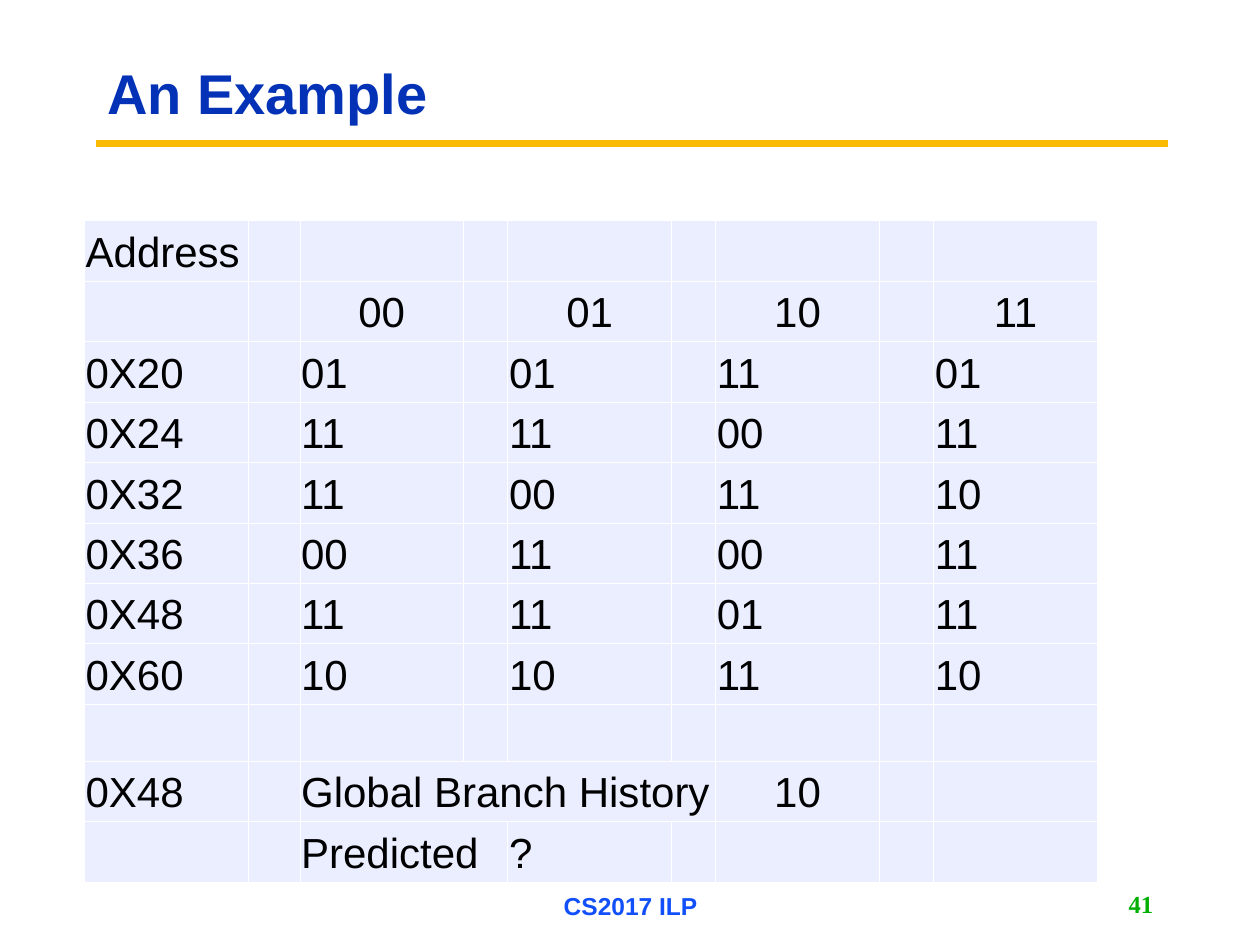
from lxml import etree
from pptx import Presentation
from pptx.dml.color import RGBColor
from pptx.enum.shapes import MSO_CONNECTOR
from pptx.enum.text import MSO_ANCHOR, MSO_AUTO_SIZE, PP_ALIGN
from pptx.oxml.ns import qn
from pptx.util import Inches, Pt

LEFT, CENTER, RIGHT = PP_ALIGN.LEFT, PP_ALIGN.CENTER, PP_ALIGN.RIGHT
MIDDLE, BOTTOM = MSO_ANCHOR.MIDDLE, MSO_ANCHOR.BOTTOM
NO_FIT = MSO_AUTO_SIZE.NONE
STRAIGHT = MSO_CONNECTOR.STRAIGHT
TITLE_ONLY = 5

VALUE_COLUMNS = (2, 4, 6, 8)
HISTORIES = ("00", "01", "10", "11")
PREDICTORS = {
    "0X20": ("01", "01", "11", "01"),
    "0X24": ("11", "11", "00", "11"),
    "0X32": ("11", "00", "11", "10"),
    "0X36": ("00", "11", "00", "11"),
    "0X48": ("11", "11", "01", "11"),
    "0X60": ("10", "10", "11", "10"),
}
COLUMN_WIDTHS = (1.3, 0.41, 1.3, 0.35, 1.3, 0.35, 1.3, 0.43, 1.3)
ROW_HEIGHTS = (0.47,) * 8 + (0.45,) + (0.47,) * 2


def rgb(value):
    return RGBColor.from_string(value)


class SlideBuilder:
    font = "Arial"
    title_color = "0332B7"
    rule_color = "FBBA03"
    cell_fill = "EAEEFF"
    border_color = "FFFFFF"
    border_width = Pt(0.45)

    def __init__(self, prs):
        self.s = prs.slides.add_slide(prs.slide_layouts[TITLE_ONLY])

    def add_text(self, p, text, size, color, bold=False, align=LEFT, font=None):
        p.alignment = align
        r = p.add_run()
        r.text = text
        r.font.name = font or self.font
        r.font.size = Pt(size)
        r.font.bold = bold
        r.font.color.rgb = rgb(color)

    def title(self, text, left, top, width, height):
        sp = self.s.shapes.title
        sp.left, sp.top = Inches(left), Inches(top)
        sp.width, sp.height = Inches(width), Inches(height)
        tf = sp.text_frame
        tf.vertical_anchor = MIDDLE
        tf.auto_size = NO_FIT
        p = tf.paragraphs[0]
        p.line_spacing = 0.9
        self.add_text(p, text, 32, self.title_color, bold=True)

    def rule(self, x1, x2, y):
        line = self.s.shapes.add_connector(
            STRAIGHT, Inches(x1), Inches(y), Inches(x2), Inches(y))
        line.line.color.rgb = rgb(self.rule_color)
        line.line.width = Pt(3.75)
        etree.SubElement(line._element.spPr, qn("a:effectLst"))

    def footer(self, text, left, top, width, height, color, align, font=None):
        sp = self.s.shapes.add_textbox(
            Inches(left), Inches(top), Inches(width), Inches(height))
        tf = sp.text_frame
        tf.word_wrap = False
        tf.vertical_anchor = MIDDLE
        self.add_text(tf.paragraphs[0], text, 14, color, True, align, font)

    def style_cell(self, cell):
        cell.fill.solid()
        cell.fill.fore_color.rgb = rgb(self.cell_fill)
        cell.vertical_anchor = BOTTOM
        cell.margin_left = cell.margin_right = Inches(0.01)
        cell.margin_top = cell.margin_bottom = Inches(0.04)
        tcPr = cell._tc.get_or_add_tcPr()
        for i, side in enumerate(("lnL", "lnR", "lnT", "lnB")):
            ln = etree.Element(qn(f"a:{side}"), w=str(int(self.border_width)))
            fill = etree.SubElement(ln, qn("a:solidFill"))
            etree.SubElement(fill, qn("a:srgbClr"), val=self.border_color)
            tcPr.insert(i, ln)

    def table(self, left, top, widths, heights):
        table = self.s.shapes.add_table(
            len(heights), len(widths), Inches(left), Inches(top),
            Inches(sum(widths)), Inches(sum(heights))).table
        table.first_row = table.horz_banding = False
        for column, width in zip(table.columns, widths):
            column.width = Inches(width)
        for row, height in zip(table.rows, heights):
            row.height = Inches(height)
        for cell in table.iter_cells():
            self.style_cell(cell)
        return table

    def cell_text(self, table, row, col, text, align=LEFT, span=1):
        cell = table.cell(row, col)
        if span > 1:
            cell.merge(table.cell(row, col + span - 1))
        self.add_text(cell.text_frame.paragraphs[0], text, 24, "000000", align=align)


def main():
    prs = Presentation()
    prs.slide_width, prs.slide_height = Inches(10), Inches(7.5)
    slide = SlideBuilder(prs)
    slide.rule(0.76, 9.27, 1.14)
    slide.title("An Example", 0.75, 0.36, 7.98, 0.81)
    slide.footer("CS2017 ILP", 3.42, 7.03, 3.17, 0.31, "114FFB", CENTER)
    slide.footer("41", 7.17, 7.01, 2.08, 0.32, "00AE00", RIGHT, "Times New Roman")

    table = slide.table(0.67, 1.75, COLUMN_WIDTHS, ROW_HEIGHTS)
    slide.cell_text(table, 0, 0, "Address")
    for col, history in zip(VALUE_COLUMNS, HISTORIES):
        slide.cell_text(table, 1, col, history, CENTER)
    for row, (address, states) in enumerate(PREDICTORS.items(), start=2):
        slide.cell_text(table, row, 0, address)
        for col, state in zip(VALUE_COLUMNS, states):
            slide.cell_text(table, row, col, state)
    slide.cell_text(table, 9, 0, "0X48")
    slide.cell_text(table, 9, 2, "Global Branch History", span=4)
    slide.cell_text(table, 9, 6, "10", CENTER)
    slide.cell_text(table, 10, 2, "Predicted", span=2)
    slide.cell_text(table, 10, 4, "?")
    prs.save("out.pptx")


if __name__ == "__main__":
    main()
